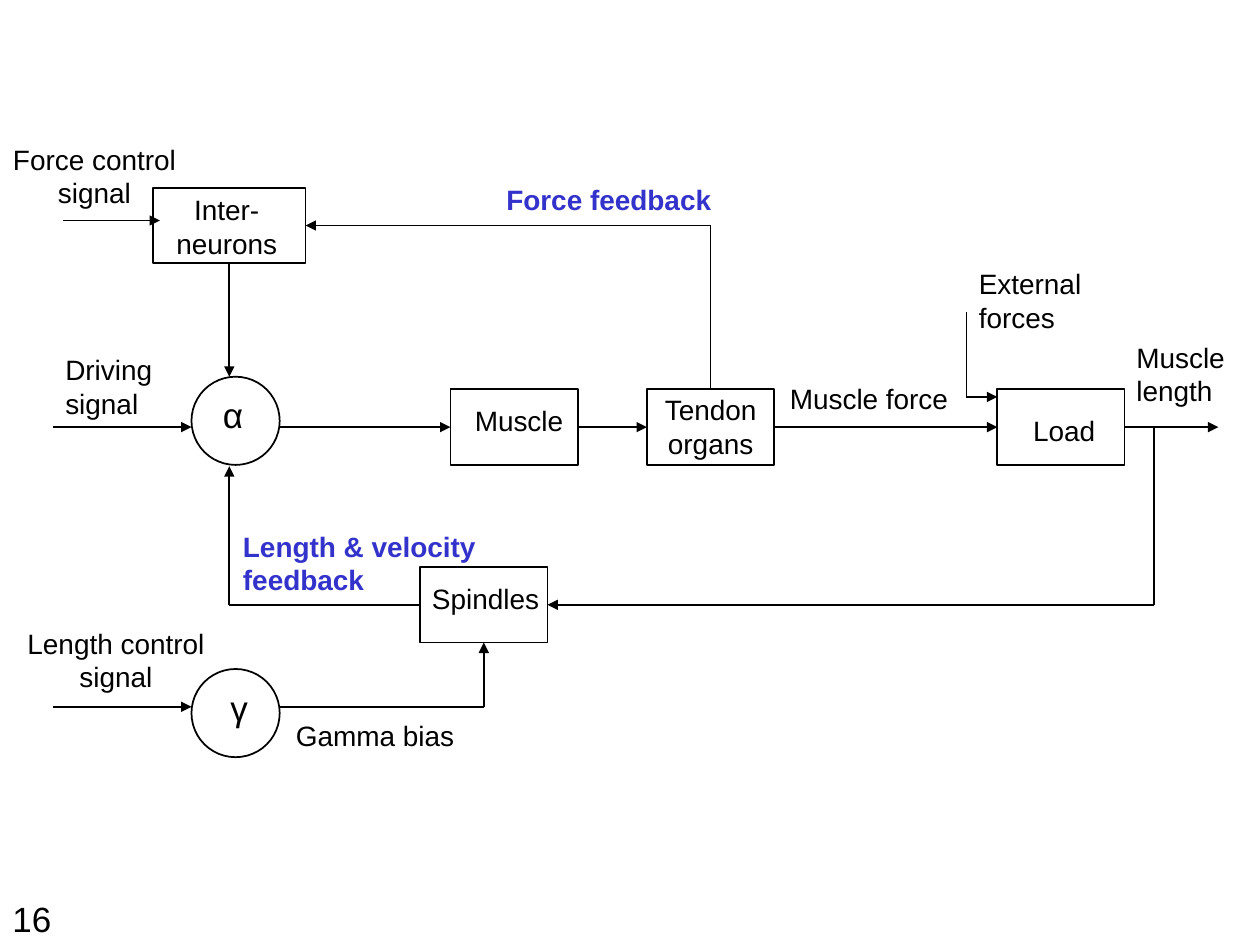
from lxml import etree
from pptx import Presentation
from pptx.dml.color import RGBColor
from pptx.enum.shapes import MSO_CONNECTOR, MSO_SHAPE
from pptx.enum.text import MSO_AUTO_SIZE, PP_ALIGN
from pptx.oxml.ns import qn
from pptx.util import Inches, Pt

BLACK = RGBColor(0x00, 0x00, 0x00)
BLUE = RGBColor(0x33, 0x33, 0xCC)
LEFT, MID = PP_ALIGN.LEFT, PP_ALIGN.CENTER
RECT, OVAL = MSO_SHAPE.RECTANGLE, MSO_SHAPE.OVAL
LINE = MSO_CONNECTOR.STRAIGHT
FIT = MSO_AUTO_SIZE.SHAPE_TO_FIT_TEXT
TOP, WEST, BASE, EAST = range(4)

# Grid in inches: centre columns and signal rows
START, INTER, CELL, SPIN, MUSCLE, TENDON, LOAD, TAP, END = (
    0.42, 1.82, 1.87, 3.84, 4.08, 5.64, 8.42, 9.16, 9.67)
FORCE, MAIN, LENGTH, GAMMA = 1.79, 3.39, 4.8, 5.61
WIDE, HIGH, ROUND = 1.01, 0.6, 0.7

deck = Presentation()
deck.slide_width, deck.slide_height = Inches(10), Inches(7.5)
slide = deck.slides.add_slide(deck.slide_layouts[6])
shapes = slide.shapes


def write(text, x, y, w, h, size=16, color=BLACK, bold=False, align=LEFT):
    box = shapes.add_textbox(Inches(x), Inches(y), Inches(w), Inches(h))
    frame = box.text_frame
    frame.word_wrap = True
    frame.auto_size = FIT
    frame.text = text
    for para in frame.paragraphs:
        para.alignment = align
        font = para.font
        font.name, font.size, font.bold = "Arial", Pt(size), bold
        font.color.rgb = color


def wire(x1, y1, x2, y2, src=None, dst=None, head=True, weight=1):
    line = shapes.add_connector(LINE, Inches(x1), Inches(y1), Inches(x2), Inches(y2))
    if src:
        line.begin_connect(blocks[src[0]], src[1])
    if dst:
        line.end_connect(blocks[dst[0]], dst[1])
    line.line.color.rgb = BLACK
    line.line.width = Pt(weight)
    if head:
        etree.SubElement(line.line._get_or_add_ln(), qn("a:tailEnd"), type="triangle")
    etree.SubElement(line._element.spPr, qn("a:effectLst"))


# Blocks, each placed by its centre
blocks = {}
for name, kind, x, y, w, h in [
    ("inter", RECT, INTER, FORCE, 1.21, HIGH),
    ("spin", RECT, SPIN, LENGTH, WIDE, HIGH),
    ("muscle", RECT, MUSCLE, MAIN, WIDE, HIGH),
    ("tendon", RECT, TENDON, MAIN, WIDE, HIGH),
    ("load", RECT, LOAD, MAIN, WIDE, HIGH),
    ("alpha", OVAL, CELL, MAIN - 0.05, ROUND, ROUND),
    ("gamma", OVAL, CELL, GAMMA + 0.05, ROUND, ROUND),
]:
    block = shapes.add_shape(kind, Inches(x - w / 2), Inches(y - h / 2), Inches(w), Inches(h))
    block.shadow.inherit = False
    block.fill.background()
    block.line.color.rgb = BLACK
    block.line.width = Pt(1)
    blocks[name] = block

# Main path, left to right
near, far = CELL - ROUND / 2, CELL + ROUND / 2
half = WIDE / 2
wire(START, MAIN, near, MAIN)
wire(far, MAIN, MUSCLE - half, MAIN, dst=("muscle", WEST))
wire(MUSCLE + half, MAIN, TENDON - half, MAIN, ("muscle", EAST), ("tendon", WEST))
wire(TENDON + half, MAIN, LOAD - half, MAIN, ("tendon", EAST), ("load", WEST))
wire(LOAD + half, MAIN, END, MAIN, src=("load", EAST))

# Length and velocity loop
wire(TAP, MAIN, TAP, LENGTH, head=False)
wire(TAP, LENGTH, SPIN + half, LENGTH, dst=("spin", EAST))
wire(SPIN - half, LENGTH, INTER, LENGTH, src=("spin", WEST), head=False)
wire(INTER, LENGTH, INTER, 3.7)

# Gamma path
wire(START, GAMMA, near, GAMMA)
wire(far, GAMMA, SPIN, GAMMA, head=False)
wire(SPIN, GAMMA, SPIN, LENGTH + HIGH / 2, dst=("spin", BASE))

# Force loop
wire(TENDON, MAIN - HIGH / 2, TENDON, FORCE, src=("tendon", TOP), head=False)
wire(TENDON, FORCE, INTER + 0.6, FORCE, dst=("inter", EAST))
wire(INTER, FORCE + HIGH / 2, INTER, 2.99, src=("inter", BASE))
wire(0.5, 1.75, 1.27, 1.75)

# External forces
wire(7.67, 2.48, 7.67, 3.15, head=False, weight=0.75)
wire(7.67, 3.15, LOAD - half, 3.15, weight=0.75)

# Block names
write("Inter-neurons", 1.25, 1.48, 1.1, 0.64, align=MID)
write("Tendon\norgans", TENDON - half, 3.07, WIDE, 0.64, align=MID)
write("Spindles", 3.33, 4.57, 1.12, 0.37)
write("Muscle", 3.67, 3.15, 0.96, 0.37)
write("Load", 8.1, 3.23, 0.75, 0.37)
write("α", 1.67, 3.07, 0.42, 0.44, size=20)
write("γ", 1.73, 5.4, 0.42, 0.44, size=20)

# Signal names
write("Force control signal", 0, 1.08, 1.5, 0.64, align=MID)
write("Length control signal", 0.08, 4.92, 1.68, 0.64, align=MID)
write("Driving signal", START, 2.75, 1.27, 0.64)
write("External forces", 7.67, 2.07, 1.25, 0.64)
write("Muscle length", 8.92, 2.65, 0.92, 0.64)
write("Muscle force", 6.17, 2.98, 1.55, 0.37)
write("Gamma bias", 2.25, 5.65, 1.55, 0.37)
write("Force feedback", 3.92, 1.4, 1.95, 0.37, color=BLUE, bold=True)
write("Length & velocity feedback", 1.83, 4.15, 2.08, 0.64, color=BLUE, bold=True)

# Page number
write("16", 0, 7.07, 2.67, 0.44, size=20)

deck.save("out.pptx")
